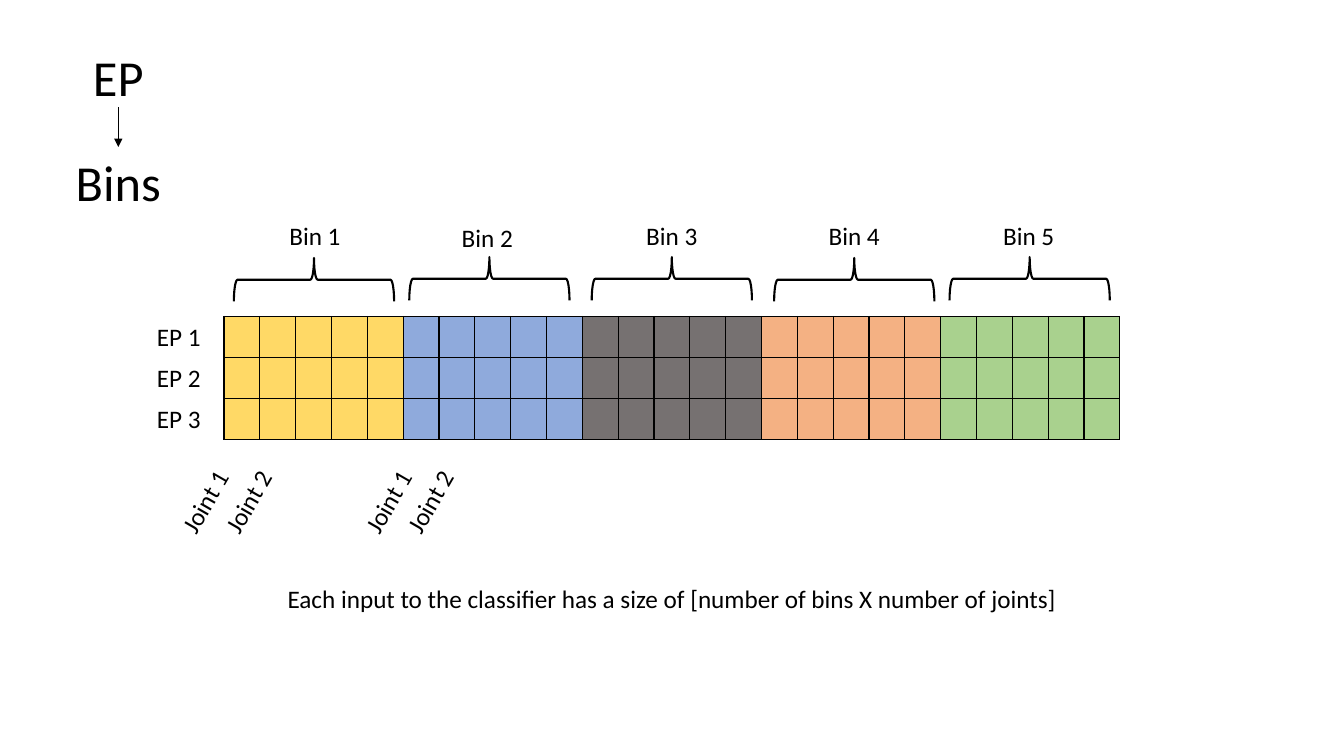
"""Build the slide that shows how EPs are split into bins of joints."""
from dataclasses import dataclass

from lxml import etree
from pptx import Presentation
from pptx.dml.color import RGBColor
from pptx.enum.shapes import MSO_CONNECTOR, MSO_SHAPE
from pptx.enum.text import MSO_AUTO_SIZE, PP_ALIGN
from pptx.oxml.ns import qn
from pptx.util import Pt

CENTER = PP_ALIGN.CENTER
LEFT = PP_ALIGN.LEFT
FIT_SHAPE = MSO_AUTO_SIZE.SHAPE_TO_FIT_TEXT
RIGHT_BRACE = MSO_SHAPE.RIGHT_BRACE
STRAIGHT = MSO_CONNECTOR.STRAIGHT


@dataclass(frozen=True)
class Theme:
    font: str = "Calibri"
    ink: str = "000000"
    heading_size: float = 36
    label_size: float = 18
    thin_line: float = 1
    brace_line: float = 1.5


@dataclass(frozen=True)
class Bin:
    name: str
    color: str
    brace_center: float
    brace_middle: float
    label_center: float
    label_top: float


@dataclass(frozen=True)
class Joint:
    name: str
    center: float


THEME = Theme()
BINS = [
    Bin("Bin 1", "FFD966", 224.3, 199.8, 225, 154.1),
    Bin("Bin 2", "8FAADC", 349.6, 199.1, 348.1, 155.5),
    Bin("Bin 3", "767171", 479.9, 199.1, 479.9, 154.1),
    Bin("Bin 4", "F4B183", 610.2, 199.8, 610.2, 154.1),
    Bin("Bin 5", "A9D18E", 735.5, 199.1, 734.8, 154.1),
]
JOINTS = [
    Joint("Joint 1", 147.6),
    Joint("Joint 2", 178.5),
    Joint("Joint 1", 278.5),
    Joint("Joint 2", 308.3),
]
EPS = ["EP 1", "EP 2", "EP 3"]
JOINTS_PER_BIN = 5
GRID_LEFT, GRID_TOP = 160, 226
CELL_WIDTH, CELL_HEIGHT = 25.6, 29.3
LABEL_HEIGHT = 29
HEADING_CENTER = 84.5


def add_text(slide, text: str, left: float, top: float, width: float,
             height: float = LABEL_HEIGHT, size: float = THEME.label_size,
             align=CENTER, rotation: float = 0) -> None:
    """Add a single-paragraph text box."""
    shape = slide.shapes.add_textbox(Pt(left), Pt(top), Pt(width), Pt(height))
    shape.rotation = rotation
    frame = shape.text_frame
    frame.word_wrap = True
    frame.auto_size = FIT_SHAPE
    paragraph = frame.paragraphs[0]
    paragraph.alignment = align
    run = paragraph.add_run()
    run.text = text
    run.font.name = THEME.font
    run.font.size = Pt(size)
    run.font.color.rgb = RGBColor.from_string(THEME.ink)


def add_arrow(slide, x: float, top: float, bottom: float) -> None:
    """Add a downward arrow without a shadow."""
    arrow = slide.shapes.add_connector(STRAIGHT, Pt(x), Pt(top), Pt(x), Pt(bottom))
    arrow.line.color.rgb = RGBColor.from_string(THEME.ink)
    arrow.line.width = Pt(THEME.thin_line)
    etree.SubElement(arrow.line._get_or_add_ln(), qn("a:tailEnd"), type="triangle")
    etree.SubElement(arrow._element.spPr, qn("a:effectLst"))


def add_borders(cell) -> None:
    """Draw a thin line on all four sides of a table cell."""
    properties = cell._tc.get_or_add_tcPr()
    for side in ("a:lnL", "a:lnR", "a:lnT", "a:lnB"):
        line = etree.SubElement(properties, qn(side), w=str(Pt(THEME.thin_line)))
        fill = etree.SubElement(line, qn("a:solidFill"))
        etree.SubElement(fill, qn("a:srgbClr"), val=THEME.ink)


def add_grid(slide) -> None:
    """Add the table with one row per EP and one colour per bin."""
    column_count = len(BINS) * JOINTS_PER_BIN
    table = slide.shapes.add_table(
        len(EPS), column_count, Pt(GRID_LEFT), Pt(GRID_TOP),
        Pt(CELL_WIDTH * column_count), Pt(CELL_HEIGHT * len(EPS))).table
    for column in table.columns:
        column.width = Pt(CELL_WIDTH)
    for row in table.rows:
        row.height = Pt(CELL_HEIGHT)
        for index, cell in enumerate(row.cells):
            cell.margin_top = cell.margin_bottom = 0
            add_borders(cell)
            cell.fill.solid()
            color = BINS[index // JOINTS_PER_BIN].color
            cell.fill.fore_color.rgb = RGBColor.from_string(color)


def add_bin(slide, item: Bin) -> None:
    """Add the label and the upward brace of one bin."""
    width, height = 31, 114.5
    brace = slide.shapes.add_shape(
        RIGHT_BRACE, Pt(item.brace_center - width / 2),
        Pt(item.brace_middle - height / 2), Pt(width), Pt(height))
    brace.rotation = 270
    brace.shadow.inherit = False
    brace.fill.background()
    brace.line.color.rgb = RGBColor.from_string(THEME.ink)
    brace.line.width = Pt(THEME.brace_line)
    label_width = 55.4
    add_text(slide, item.name, item.label_center - label_width / 2,
             item.label_top, label_width)


def add_joint(slide, joint: Joint) -> None:
    """Add one slanted joint label."""
    width = 68
    add_text(slide, joint.name, joint.center - width / 2, 341.3, width,
             align=LEFT, rotation=300)


def build() -> None:
    """Assemble and save the slide."""
    presentation = Presentation()
    presentation.slide_width, presentation.slide_height = Pt(960), Pt(540)
    slide = presentation.slides.add_slide(presentation.slide_layouts[6])
    for text, top in (("EP", 29.5), ("Bins", 104.4)):
        add_text(slide, text, HEADING_CENTER - 45, top, 90, 51,
                 size=THEME.heading_size)
    add_arrow(slide, HEADING_CENTER, 76.5, 105)
    add_grid(slide)
    for index, name in enumerate(EPS):
        add_text(slide, name, 105, GRID_TOP + index * CELL_HEIGHT, 48.5, align=LEFT)
    for item in BINS:
        add_bin(slide, item)
    for joint in JOINTS:
        add_joint(slide, joint)
    add_text(slide, "Each input to the classifier has a size of "
             "[number of bins X number of joints]", GRID_LEFT, 413.3, 640)
    presentation.save("out.pptx")


build()
